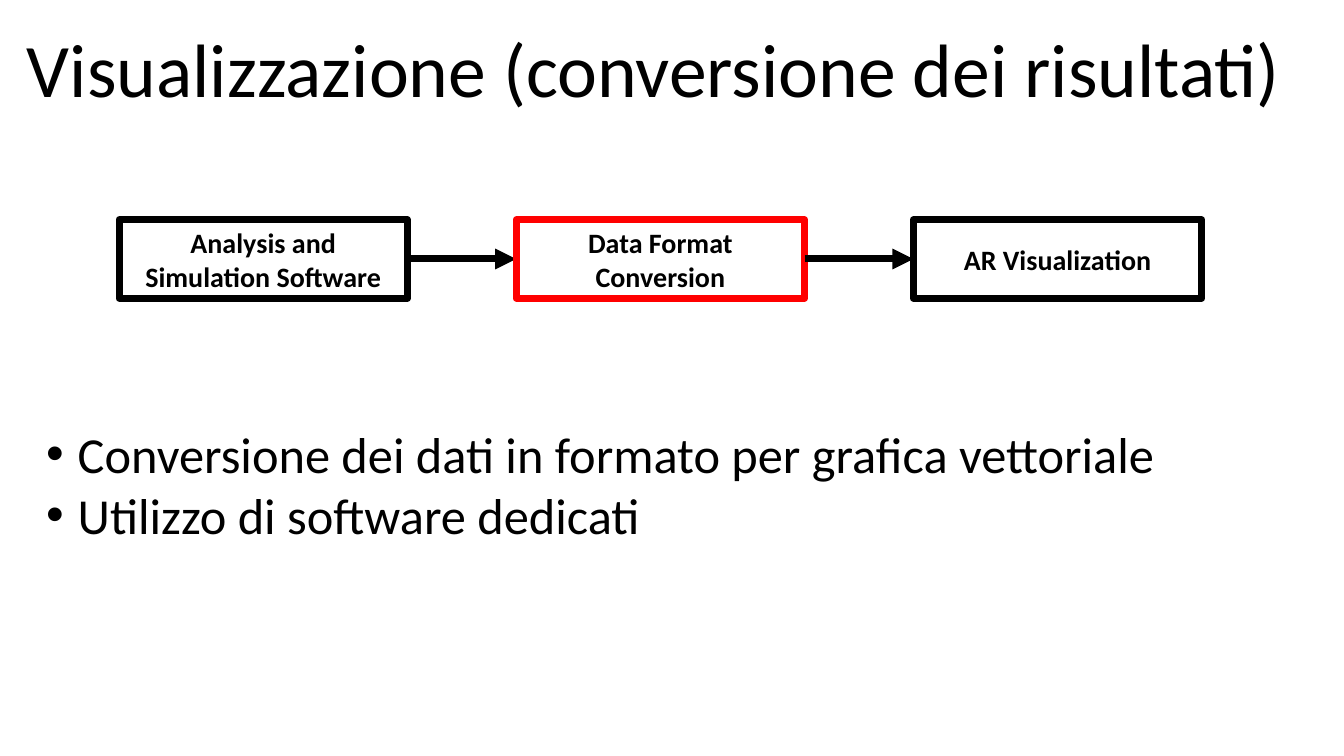
from lxml import etree
from pptx import Presentation
from pptx.dml.color import RGBColor
from pptx.enum import shapes, text
from pptx.oxml import ns
from pptx.util import Pt

COLOURS = {"ink": "000000", "highlight": "FF0000"}
FONT = "Calibri"


def add_lines(frame, lines, size, bold=False, align=None, bullet_indent=None):
    """Write each line as a paragraph, bulleted if an indent is given."""
    for index, line in enumerate(lines):
        para = frame.paragraphs[0] if index == 0 else frame.add_paragraph()
        para.alignment = align
        if bullet_indent:
            props = para._p.get_or_add_pPr()
            props.set("marL", str(bullet_indent))
            props.set("indent", str(-bullet_indent))
            etree.SubElement(props, ns.qn("a:buFont"), typeface="Arial")
            etree.SubElement(props, ns.qn("a:buChar"), char="•")
        span = para.add_run()
        span.text = line
        span.font.name = FONT
        span.font.size = Pt(size)
        span.font.bold = bold
        span.font.color.rgb = RGBColor.from_string(COLOURS["ink"])


def style_line(line, colour):
    line.color.rgb = RGBColor.from_string(COLOURS[colour])
    line.width = Pt(5)


deck = Presentation()
deck.slide_width, deck.slide_height = Pt(960), Pt(540)
page = deck.slides.add_slide(deck.slide_layouts[6])

# Title
title = page.shapes.add_textbox(Pt(12.2), Pt(12.2), Pt(919.4), Pt(72.7))
title.text_frame.word_wrap = False
title.text_frame.auto_size = text.MSO_AUTO_SIZE.SHAPE_TO_FIT_TEXT
add_lines(title.text_frame, ["Visualizzazione (conversione dei risultati)"], 54)

# Process steps, each but the last followed by an arrow
steps = [
    (["Analysis and", "Simulation Software"], "ink"),
    (["Data Format", "Conversion"], "highlight"),
    (["AR Visualization"], "ink"),
]
step_left, step_top, step_width, step_height = 85, 157, 206, 56
pitch = 283.7
arrow_y = Pt(step_top + step_height / 2)

for index, (lines, colour) in enumerate(steps):
    left = step_left + index * pitch
    box = page.shapes.add_shape(shapes.MSO_SHAPE.RECTANGLE, Pt(left), Pt(step_top),
                                Pt(step_width), Pt(step_height))
    box.shadow.inherit = False
    box.fill.background()
    style_line(box.line, colour)
    box.text_frame.word_wrap = True
    box.text_frame.vertical_anchor = text.MSO_ANCHOR.MIDDLE
    add_lines(box.text_frame, lines, 20, bold=True, align=text.PP_ALIGN.CENTER)

    if index < len(steps) - 1:
        arrow = page.shapes.add_connector(shapes.MSO_CONNECTOR.STRAIGHT,
                                          Pt(left + step_width), arrow_y,
                                          Pt(left + pitch), arrow_y)
        style_line(arrow.line, "ink")
        etree.SubElement(arrow.line._get_or_add_ln(), ns.qn("a:tailEnd"), type="triangle")
        etree.SubElement(arrow._element.spPr, ns.qn("a:effectLst"))

# Bullet list
notes = page.shapes.add_textbox(Pt(25.9), Pt(298.8), Pt(907.9), Pt(94.5))
notes.text_frame.word_wrap = True
notes.text_frame.auto_size = text.MSO_AUTO_SIZE.SHAPE_TO_FIT_TEXT
add_lines(notes.text_frame, [
    "Conversione dei dati in formato per grafica vettoriale",
    "Utilizzo di software dedicati",
], 36, bullet_indent=Pt(22.5))

deck.save("out.pptx")
